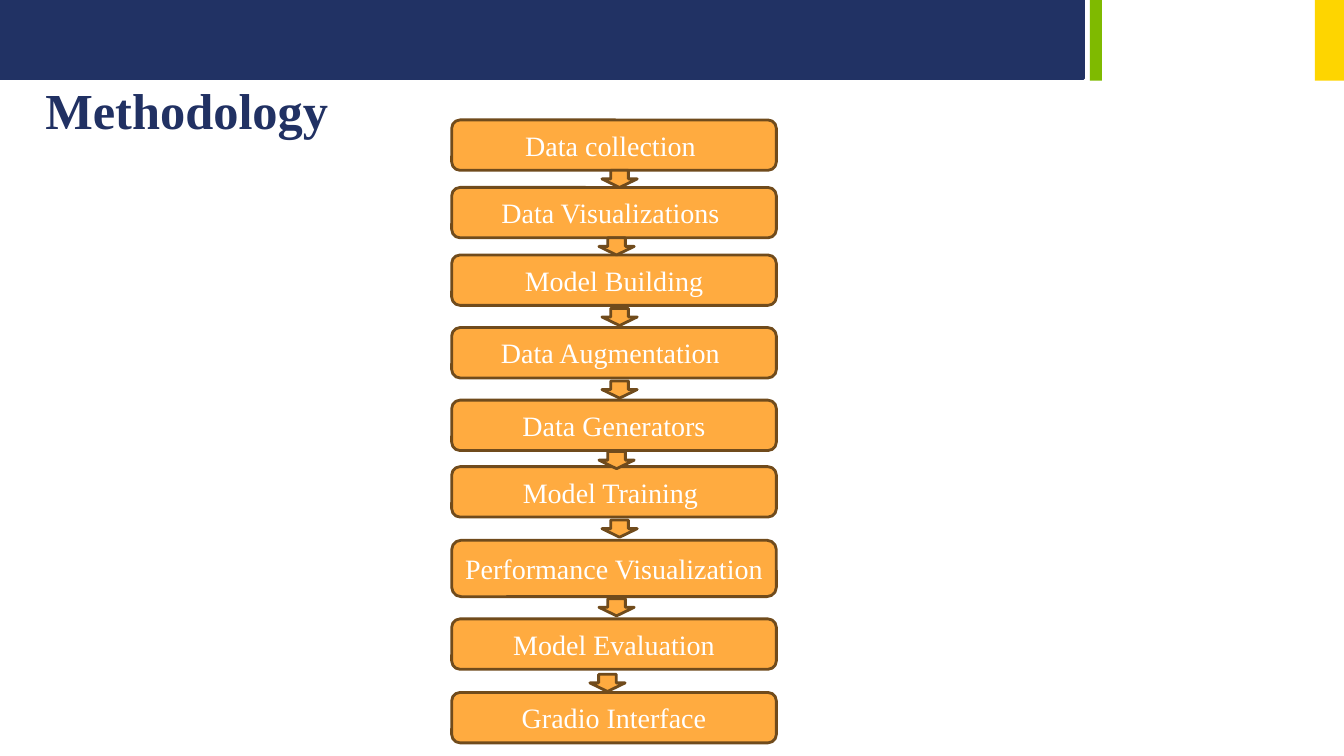
"""Build the Methodology slide: a header band and a vertical flow of nine steps."""
import dataclasses
import typing

import pptx
import pptx.dml.color
import pptx.enum.shapes
import pptx.enum.text
import pptx.util

SCALE = 9144
KIND = pptx.enum.shapes.MSO_SHAPE
ALIGN = pptx.enum.text.PP_ALIGN
ANCHOR = pptx.enum.text.MSO_ANCHOR
FIT = pptx.enum.text.MSO_AUTO_SIZE
NAVY, ORANGE, BROWN, WHITE = "213163", "FFAB40", "704B1C", "FFFFFF"
SERIF = "Times New Roman"
STEP_X, STEP_W, STEP_H = 448, 322, 50
ARROW_W, ARROW_H = 35, 17


@dataclasses.dataclass(frozen=True)
class Bar:
    left: int
    width: int
    height: int
    fill: str
    line: typing.Optional[str] = None


@dataclasses.dataclass(frozen=True)
class Step:
    text: str
    top: int
    height: int = STEP_H


@dataclasses.dataclass(frozen=True)
class Arrow:
    left: int
    top: int


BARS = [
    Bar(0, 1075, 78, "213264", "213264"),
    Bar(1081, 12, 80, "7FBA00"),
    Bar(1304, 29, 80, "FED500"),
]
STEPS = [
    Step("Data collection ", 119),
    Step("Data Visualizations ", 186),
    Step("Model Building", 253),
    Step("Data Augmentation ", 325),
    Step("Data Generators", 397),
    Step("Model Training ", 463),
    Step("Performance Visualization ", 536, 56),
    Step("Model Evaluation", 614),
    Step("Gradio Interface", 687),
]
ARROWS = [
    Arrow(597, 169), Arrow(594, 236), Arrow(597, 306), Arrow(597, 378),
    Arrow(594, 448), Arrow(597, 516), Arrow(594, 594), Arrow(585, 669),
]


def px(size: int) -> int:
    return pptx.util.Emu(size * SCALE)


def tint(code: str) -> pptx.dml.color.RGBColor:
    return pptx.dml.color.RGBColor.from_string(code)


def put(item: typing.Any, values: dict) -> None:
    for name, value in values.items():
        setattr(item, name, value)


def write(shape: typing.Any, text: str, color: str, align: typing.Any,
          frame: dict, font: dict) -> None:
    body = shape.text_frame
    body.text = text
    put(body, {"word_wrap": True, **frame})
    para = body.paragraphs[0]
    para.alignment = align
    letter = para.runs[0].font
    put(letter, {"name": SERIF, **font})
    letter.color.rgb = tint(color)


def draw(slide: typing.Any, kind: typing.Any, left: int, top: int, width: int,
         height: int, fill: str, line: typing.Optional[str]) -> typing.Any:
    shape = slide.shapes.add_shape(kind, px(left), px(top), px(width), px(height))
    shape.shadow.inherit = False
    shape.fill.solid()
    shape.fill.fore_color.rgb = tint(fill)
    if line:
        shape.line.color.rgb = tint(line)
        shape.line.width = pptx.util.Pt(2)
    else:
        shape.line.fill.background()
    return shape


def head(slide: typing.Any) -> None:
    title = slide.shapes.title
    put(title, {"left": px(35), "top": px(73), "width": px(309), "height": px(71)})
    write(title, "Methodology", NAVY, ALIGN.LEFT,
          {"vertical_anchor": ANCHOR.TOP, "auto_size": FIT.SHAPE_TO_FIT_TEXT},
          {"size": pptx.util.Pt(36), "bold": True})


def main() -> None:
    deck = pptx.Presentation()
    put(deck, {"slide_width": px(1333), "slide_height": px(750)})
    slide = deck.slides.add_slide(deck.slide_layouts[5])
    for bar in BARS:
        draw(slide, KIND.RECTANGLE, bar.left, 0, bar.width, bar.height,
             bar.fill, bar.line)
    head(slide)
    for step in STEPS:
        box = draw(slide, KIND.ROUNDED_RECTANGLE, STEP_X, step.top, STEP_W,
                   step.height, ORANGE, BROWN)
        write(box, step.text, WHITE, ALIGN.CENTER,
              {"vertical_anchor": ANCHOR.MIDDLE}, {"size": pptx.util.Pt(20)})
    for arrow in ARROWS:
        draw(slide, KIND.DOWN_ARROW, arrow.left, arrow.top, ARROW_W, ARROW_H,
             ORANGE, BROWN)
    deck.save("out.pptx")


if __name__ == "__main__":
    main()
